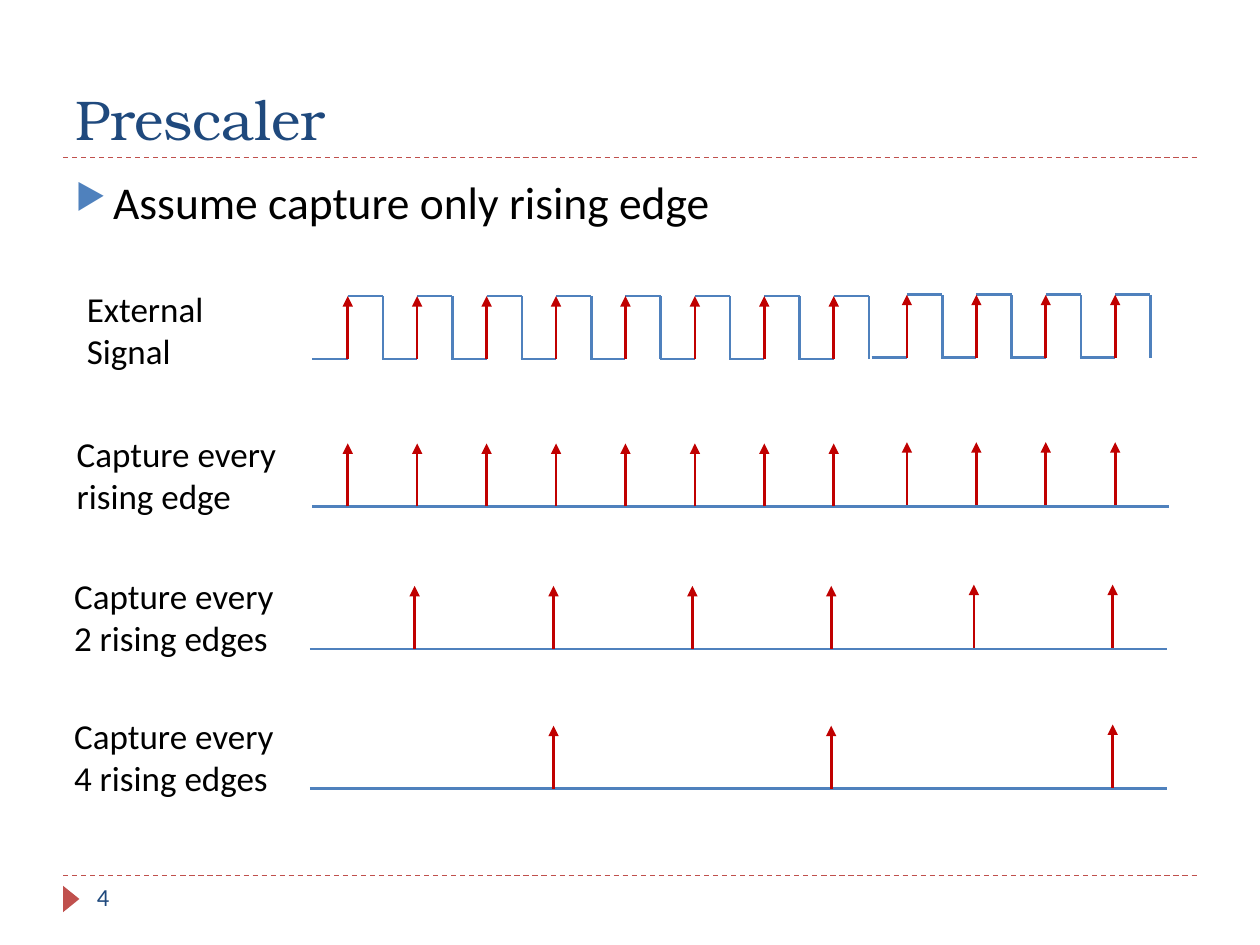
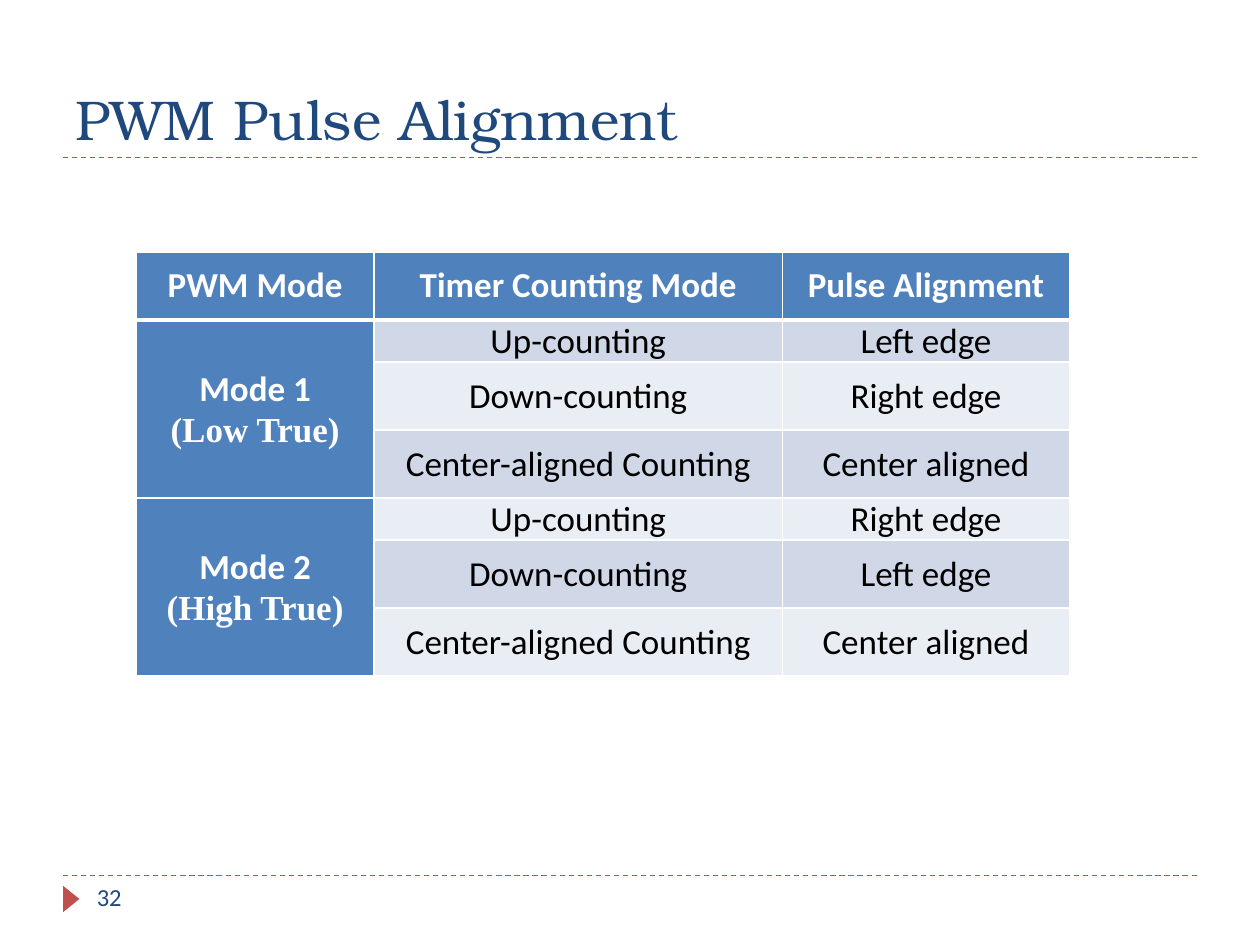
import lxml.etree
import pptx
import pptx.dml.color
import pptx.enum.dml
import pptx.enum.shapes
import pptx.enum.text
import pptx.oxml
import pptx.oxml.ns
import pptx.util

Inches = pptx.util.Inches
Pt = pptx.util.Pt
ANCHOR = pptx.enum.text.MSO_ANCHOR
qn = pptx.oxml.ns.qn

COLORS = {
    "navy": "1F497D",
    "blue": "4F81BD",
    "red": "C0504D",
    "arrow": "C00000",
    "black": "000000",
    "white": "FFFFFF",
    "band_dark": "D0D8E8",
    "band_light": "E9EDF4",
}
BODY_FONT = "Calibri"
TITLE_FONT = "TeX Gyre Bonum"
SERIF_FONT = "Times New Roman"

# Timing diagram measures, in inches
EDGE_COUNT = 12
EDGE_PITCH = 0.551
HALF_PERIOD = 0.28
PULSE_HEIGHT = 0.5

# Label box (left, top, width), axis start (left, y), edges per capture
EXTERNAL_SIGNAL = ("External Signal", (0.59, 2.23, 1.32), (2.48, 2.85), 1)
CAPTURE_ROWS = [
    ("Capture every rising edge", (0.51, 3.38, 1.84), (2.48, 4.02), 1),
    ("Capture every 2 rising edges", (0.49, 4.51, 1.84), (2.46, 5.15), 2),
    ("Capture every 4 rising edges", (0.49, 5.62, 1.84), (2.46, 6.26), 4),
]

TABLE_HEADER = ["PWM Mode", "Timer Counting Mode", "Pulse Alignment"]
COUNTING_MODES = ["Up-counting", "Down-counting", "Center-aligned Counting"]
PWM_MODES = [
    ("Mode 1\n(Low True)", ["Left edge", "Right edge", "Center aligned"]),
    ("Mode 2\n(High True)", ["Right edge", "Left edge", "Center aligned"]),
]
COLUMN_WIDTHS = [1.89, 3.24, 2.28]
ROW_HEIGHTS = [0.54] + [0.27, 0.54, 0.54] * len(PWM_MODES)


def rgb(color):
    return pptx.dml.color.RGBColor.from_string(COLORS[color])


def set_font(paragraph, size, color, name=BODY_FONT, bold=False):
    font = paragraph.font
    font.name, font.size, font.bold = name, Pt(size), bold
    font.color.rgb = rgb(color)


def add_text(slide, box, text, size, color, name=BODY_FONT, anchor=ANCHOR.TOP):
    text_box = slide.shapes.add_textbox(*map(Inches, box))
    frame = text_box.text_frame
    frame.word_wrap = True
    frame.vertical_anchor = anchor
    paragraph = frame.paragraphs[0]
    paragraph.text = text
    set_font(paragraph, size, color, name)


def add_line(slide, start, end, color, width=1.5, dashed=False, arrow=False):
    connector = slide.shapes.add_connector(
        pptx.enum.shapes.MSO_CONNECTOR.STRAIGHT, *map(Inches, start + end))
    connector.line.color.rgb = rgb(color)
    connector.line.width = Pt(width)
    if dashed:
        connector.line.dash_style = pptx.enum.dml.MSO_LINE.DASH
    if arrow:
        line = connector.line._get_or_add_ln()
        lxml.etree.SubElement(line, qn("a:tailEnd"), type="triangle")
    lxml.etree.SubElement(connector._element.spPr, qn("a:effectLst"))


def add_frame(slide, title, number):
    """Title, dashed rules and page number shared by the slides."""
    for y in (6.95, 1.25):
        add_line(slide, (0.5, y), (9.5, y), "red", 0.75, dashed=True)
    marker = slide.shapes.add_shape(
        pptx.enum.shapes.MSO_SHAPE.ISOSCELES_TRIANGLE,
        *map(Inches, (0.46, 7.07, 0.21, 0.13)))
    marker.rotation = 90
    marker.shadow.inherit = False
    marker.fill.solid()
    marker.fill.fore_color.rgb = rgb("red")
    marker.line.fill.background()
    add_text(slide, (0.5, 0.17, 9, 1.08), title, 32, "navy", TITLE_FONT, ANCHOR.BOTTOM)
    add_text(slide, (0.67, 6.95, 2.17, 0.4), str(number), 14, "navy")


def add_bullet(slide, box, text):
    text_box = slide.shapes.add_textbox(*map(Inches, box))
    text_box.text_frame.word_wrap = True
    paragraph = text_box.text_frame.paragraphs[0]
    paragraph.text = text
    properties = paragraph._p.get_or_add_pPr()
    properties.set("marL", str(Inches(0.3)))
    properties.set("indent", str(-Inches(0.3)))
    bullet_color = lxml.etree.SubElement(properties, qn("a:buClr"))
    lxml.etree.SubElement(bullet_color, qn("a:srgbClr"), val=COLORS["blue"])
    lxml.etree.SubElement(properties, qn("a:buSzPct"), val="76000")
    lxml.etree.SubElement(properties, qn("a:buChar"), char="▶")
    set_font(paragraph, 26, "black")


def rising_edges(axis, step):
    """Base point of every step-th edge; the last third sits slightly off the grid."""
    left, y = axis
    for index in range(step - 1, EDGE_COUNT, step):
        late = index >= 8
        x = left + HALF_PERIOD + index * EDGE_PITCH + (0.03 if late else 0)
        yield x, y - (0.01 if late else 0)


def add_row(slide, label, label_box, axis, step):
    """Label and red arrows of one timing row."""
    add_text(slide, label_box + (0.77,), label, 20, "black")
    for x, y in rising_edges(axis, step):
        add_line(slide, (x, y), (x, y - PULSE_HEIGHT), "arrow", arrow=True)


def add_square_wave(slide, axis):
    for x, low in rising_edges(axis, 1):
        high = low - PULSE_HEIGHT
        fall = x + HALF_PERIOD
        add_line(slide, (x - HALF_PERIOD, low), (x, low), "blue")
        add_line(slide, (x, high), (fall, high), "blue")
        add_line(slide, (fall, low), (fall, high), "blue")


def add_capture_axis(slide, axis):
    left, y = axis
    add_line(slide, axis, (left + 6.8, y), "blue")


def set_borders(cell, top, bottom):
    properties = cell._tc.get_or_add_tcPr()
    widths = {"lnL": 1, "lnR": 1, "lnT": top, "lnB": bottom}
    for position, (side, width) in enumerate(widths.items()):
        border = lxml.etree.Element(qn(f"a:{side}"), w=str(Pt(width)))
        fill = lxml.etree.SubElement(border, qn("a:solidFill"))
        lxml.etree.SubElement(fill, qn("a:srgbClr"), val=COLORS["white"])
        properties.insert(position, border)


def fill_cell(cell, text, fill, heading):
    cell.fill.solid()
    cell.fill.fore_color.rgb = rgb(fill)
    cell.vertical_anchor = ANCHOR.MIDDLE
    cell.margin_left = cell.margin_right = Inches(0.08)
    cell.margin_top = cell.margin_bottom = 0
    cell.text_frame.text = text
    for index, paragraph in enumerate(cell.text_frame.paragraphs):
        paragraph.alignment = pptx.enum.text.PP_ALIGN.CENTER
        set_font(paragraph, 20, "white" if heading else "black",
                 SERIF_FONT if index else BODY_FONT, heading)


def add_alignment_table(slide, box):
    rows = [TABLE_HEADER]
    for mode, alignments in PWM_MODES:
        for index, pair in enumerate(zip(COUNTING_MODES, alignments)):
            rows.append(["" if index else mode, *pair])
    table = slide.shapes.add_table(
        len(rows), len(TABLE_HEADER), *map(Inches, box)).table
    for column, width in zip(table.columns, COLUMN_WIDTHS):
        column.width = Inches(width)
    for row, height in zip(table.rows, ROW_HEIGHTS):
        row.height = Inches(height)
    for row_index, texts in enumerate(rows):
        band = "band_dark" if row_index % 2 else "band_light"
        for column_index, text in enumerate(texts):
            heading = row_index == 0 or column_index == 0
            cell = table.cell(row_index, column_index)
            fill_cell(cell, text, "blue" if heading else band, heading)
            set_borders(cell, 3 if row_index == 1 else 1, 3 if row_index == 0 else 1)
    # Each mode covers its three counting modes
    span = len(COUNTING_MODES)
    for first in range(1, len(rows), span):
        table.cell(first, 0).merge(table.cell(first + span - 1, 0))


def build_prescaler(slide):
    add_frame(slide, "Prescaler", 4)
    add_bullet(slide, (0.5, 1.33, 9, 0.58), "Assume capture only rising edge")
    add_square_wave(slide, EXTERNAL_SIGNAL[2])
    add_row(slide, *EXTERNAL_SIGNAL)
    for row in CAPTURE_ROWS:
        add_capture_axis(slide, row[2])
        add_row(slide, *row)


def build_pulse_alignment(slide):
    add_frame(slide, "PWM Pulse Alignment", 32)
    add_alignment_table(slide, (1.08, 2, 7.42, 3.35))


def main():
    presentation = pptx.Presentation()
    presentation.slide_width = Inches(10)
    presentation.slide_height = Inches(7.5)
    for build in (build_prescaler, build_pulse_alignment):
        build(presentation.slides.add_slide(presentation.slide_layouts[6]))
    presentation.save("out.pptx")


if __name__ == "__main__":
    main()
